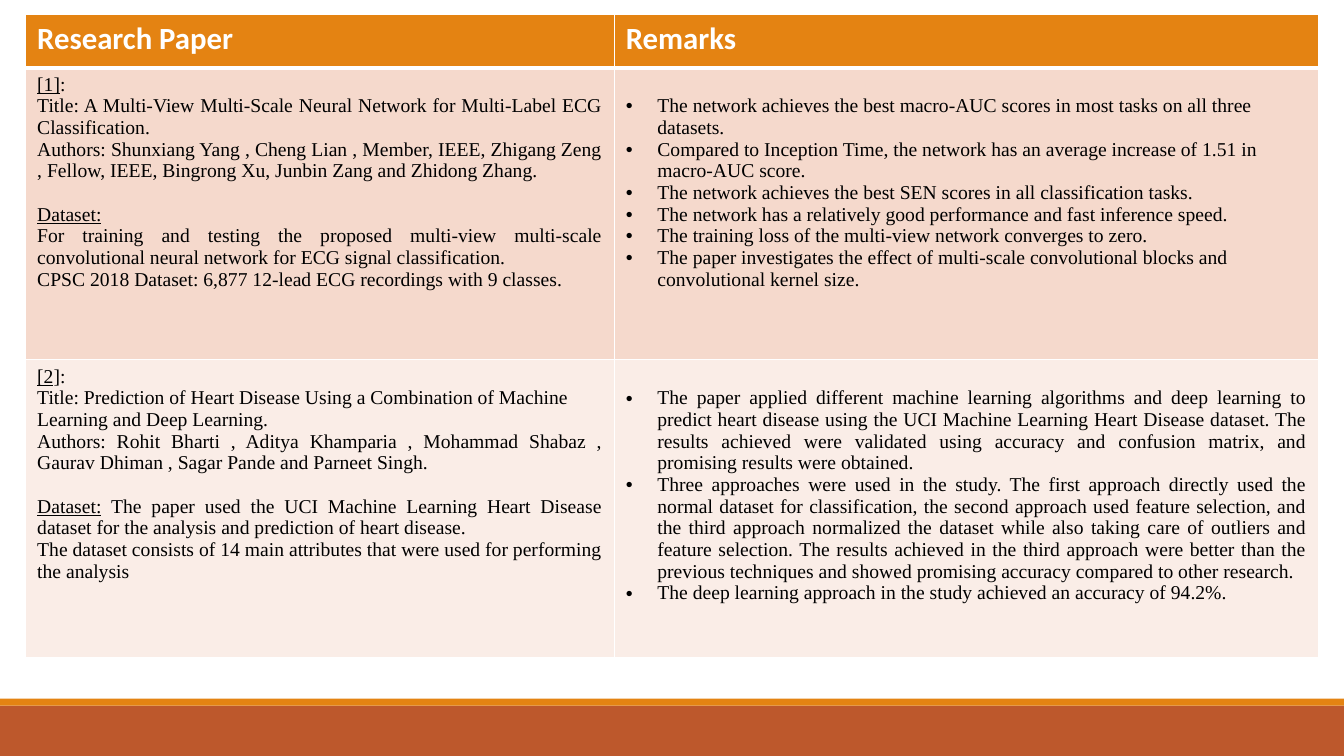
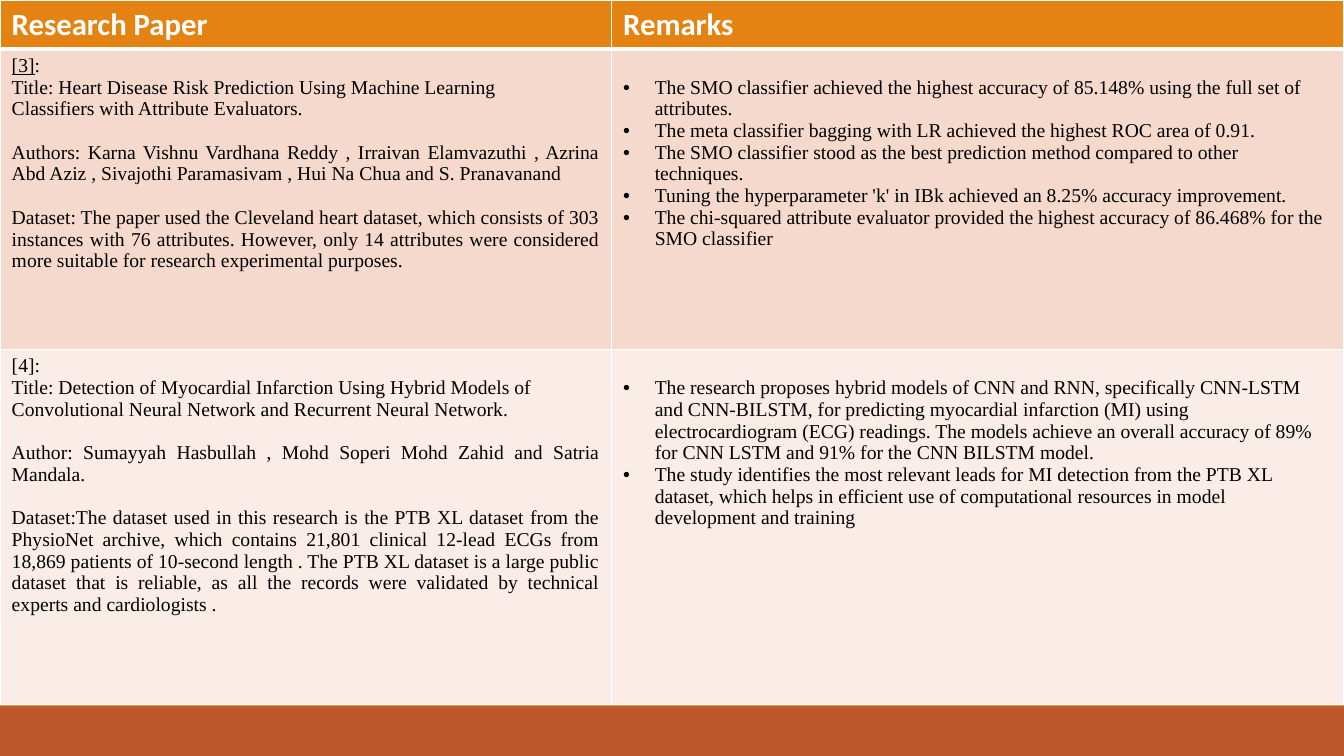
from dataclasses import dataclass
from typing import NamedTuple

from lxml.etree import SubElement
from pptx import Presentation
from pptx.dml.color import RGBColor as RGB
from pptx.enum.shapes import MSO_SHAPE as Shape
from pptx.enum.text import PP_ALIGN as Align
from pptx.oxml.ns import qn
from pptx.slide import Slide
from pptx.table import _Cell as Cell
from pptx.text.text import _Paragraph as Paragraph
from pptx.util import Pt


# Shared look
@dataclass(frozen=True)
class Theme:
    orange: str = "E48312"
    rust: str = "BD582C"
    white: str = "FFFFFF"
    black: str = "000000"
    row_fills: tuple[str, str] = ("F5D9CC", "FAEDE7")
    heading_font: str = "Calibri"
    body_font: str = "Times New Roman"
    heading_size: float = 22
    body_size: float = 14
    body_line: float = 15.5  # height of one line of body text
    margin_x: float = 8.4
    margin_y: float = 4.2
    hanging: float = 22.5
    thin: float = 1
    thick: float = 3


THEME = Theme()
SLIDE_W, SLIDE_H = 960, 540
HEADINGS = ("Research Paper", "Remarks")


class Band(NamedTuple):
    top: float
    height: float
    color: str


FOOTER = (Band(504, 36, THEME.rust), Band(499, 5, THEME.orange))


# Content types
class Line(NamedTuple):
    text: str
    underlined: str = ""  # underlined words ahead of the text
    gap: bool = False  # one line of space above


@dataclass(frozen=True)
class Review:
    paper: list[Line]
    remarks: list[str]
    justified: bool = False


@dataclass(frozen=True)
class ReviewPage:
    left: float
    top: float
    columns: tuple[float, float]
    rows: tuple[float, float, float]
    reviews: tuple[Review, Review]


PAGES = (
    ReviewPage(18.2, 10.4, (420.5, 503.2), (38, 208.7, 212.3), (
        Review(
            [
                Line(":", "[1]"),
                Line("Title: A Multi-View Multi-Scale Neural Network for Multi-Label ECG "
                     "Classification."),
                Line("Authors: Shunxiang Yang , Cheng Lian , Member, IEEE, Zhigang Zeng "
                     ", Fellow, IEEE, Bingrong Xu, Junbin Zang and Zhidong Zhang."),
                Line("", "Dataset:", gap=True),
                Line("For training and testing the proposed multi-view multi-scale "
                     "convolutional neural network for ECG signal classification."),
                Line("CPSC 2018 Dataset: 6,877 12-lead ECG recordings with 9 classes."),
            ],
            [
                "The network achieves the best macro-AUC scores in most tasks on all three "
                "datasets.",
                "Compared to Inception Time, the network has an average increase of 1.51 in "
                "macro-AUC score.",
                "The network achieves the best SEN scores in all classification tasks.",
                "The network has a relatively good performance and fast inference speed.",
                "The training loss of the multi-view network converges to zero.",
                "The paper investigates the effect of multi-scale convolutional blocks and "
                "convolutional kernel size.",
            ],
        ),
        Review(
            [
                Line("]:", "[2"),
                Line("Title: Prediction of Heart Disease Using a Combination of Machine"),
                Line("Learning and Deep Learning."),
                Line("Authors: Rohit Bharti , Aditya Khamparia , Mohammad Shabaz , "
                     "Gaurav Dhiman , Sagar Pande and Parneet Singh."),
                Line(" The paper used the UCI Machine Learning Heart Disease dataset for "
                     "the analysis and prediction of heart disease.", "Dataset:", gap=True),
                Line("The dataset consists of 14 main attributes that were used for "
                     "performing the analysis"),
            ],
            [
                "The paper applied different machine learning algorithms and deep learning "
                "to predict heart disease using the UCI Machine Learning Heart Disease "
                "dataset. The results achieved were validated using accuracy and confusion "
                "matrix, and promising results were obtained.",
                "Three approaches were used in the study. The first approach directly used "
                "the normal dataset for classification, the second approach used feature "
                "selection, and the third approach normalized the dataset while also taking "
                "care of outliers and feature selection. The results achieved in the third "
                "approach were better than the previous techniques and showed promising "
                "accuracy compared to other research.",
                "The deep learning approach in the study achieved an accuracy of 94.2%.",
            ],
            justified=True,
        ),
    )),
    ReviewPage(0, 0, (436.8, 523.2), (35.2, 214.6, 253.6), (
        Review(
            [
                Line(":", "[3]"),
                Line("Title: Heart Disease Risk Prediction Using Machine Learning"),
                Line("Classifiers with Attribute Evaluators."),
                Line("Authors: Karna Vishnu Vardhana Reddy , Irraivan Elamvazuthi , Azrina "
                     "Abd Aziz , Sivajothi Paramasivam , Hui Na Chua and S. Pranavanand",
                     gap=True),
                Line("Dataset: The paper used the Cleveland heart dataset, which consists "
                     "of 303 instances with 76 attributes. However, only 14 attributes were "
                     "considered more suitable for research experimental purposes.", gap=True),
            ],
            [
                "The SMO classifier achieved the highest accuracy of 85.148% using the full "
                "set of attributes.",
                "The meta classifier bagging with LR achieved the highest ROC area of 0.91.",
                "The SMO classifier stood as the best prediction method compared to other "
                "techniques.",
                "Tuning the hyperparameter 'k' in IBk achieved an 8.25% accuracy improvement.",
                "The chi-squared attribute evaluator provided the highest accuracy of "
                "86.468% for the SMO classifier",
            ],
        ),
        Review(
            [
                Line("[4]:"),
                Line("Title: Detection of Myocardial Infarction Using Hybrid Models of"),
                Line("Convolutional Neural Network and Recurrent Neural Network."),
                Line("Author: Sumayyah Hasbullah , Mohd Soperi Mohd Zahid and Satria "
                     "Mandala.", gap=True),
                Line("Dataset:The dataset used in this research is the PTB XL dataset from "
                     "the PhysioNet archive, which contains 21,801 clinical 12-lead ECGs "
                     "from 18,869 patients of 10-second length . The PTB XL dataset is a "
                     "large public dataset that is reliable, as all the records were "
                     "validated by technical experts and cardiologists .", gap=True),
            ],
            [
                "The research proposes hybrid models of CNN and RNN, specifically CNN-LSTM "
                "and CNN-BILSTM, for predicting myocardial infarction (MI) using "
                "electrocardiogram (ECG) readings. The models achieve an overall accuracy "
                "of 89% for CNN LSTM and 91% for the CNN BILSTM model.",
                "The study identifies the most relevant leads for MI detection from the PTB "
                "XL dataset, which helps in efficient use of computational resources in "
                "model development and training",
            ],
        ),
    )),
)


# Text
def set_font(paragraph: Paragraph, face: str, size: float, color: str, bold: bool) -> None:
    font = paragraph.font
    font.name, font.size, font.bold = face, Pt(size), bold
    font.color.rgb = RGB.from_string(color)


def set_body_font(paragraph: Paragraph) -> None:
    set_font(paragraph, THEME.body_font, THEME.body_size, THEME.black, False)


def next_paragraph(cell: Cell, index: int) -> Paragraph:
    frame = cell.text_frame
    return frame.add_paragraph() if index else frame.paragraphs[0]


def add_bullet(paragraph: Paragraph) -> None:
    props = paragraph._p.get_or_add_pPr()
    props.set("marL", str(Pt(THEME.hanging)))
    props.set("indent", str(-Pt(THEME.hanging)))
    SubElement(props, qn("a:buFont"), typeface="Arial")
    SubElement(props, qn("a:buChar"), char="•")


def write_heading(cell: Cell, heading: str) -> None:
    paragraph = next_paragraph(cell, 0)
    paragraph.add_run().text = heading
    set_font(paragraph, THEME.heading_font, THEME.heading_size, THEME.white, True)


def write_paper(cell: Cell, lines: list[Line]) -> None:
    for index, line in enumerate(lines):
        paragraph = next_paragraph(cell, index)
        paragraph.alignment = Align.JUSTIFY
        if line.gap:
            paragraph.space_before = Pt(THEME.body_line)
        set_body_font(paragraph)
        if line.underlined:
            label = paragraph.add_run()
            label.text = line.underlined
            label.font.underline = True
        if line.text:
            paragraph.add_run().text = line.text


def write_remarks(cell: Cell, review: Review) -> None:
    # Remarks start one line below the paper's number
    cell.margin_top = Pt(THEME.margin_y + THEME.body_line)
    for index, remark in enumerate(review.remarks):
        paragraph = next_paragraph(cell, index)
        paragraph.alignment = Align.JUSTIFY if review.justified else Align.LEFT
        add_bullet(paragraph)
        set_body_font(paragraph)
        paragraph.add_run().text = remark


# Table
def style_cell(cell: Cell, row: int) -> None:
    cell.margin_left = cell.margin_right = Pt(THEME.margin_x)
    cell.margin_top = cell.margin_bottom = Pt(THEME.margin_y)
    thick_side = {0: "lnB", 1: "lnT"}.get(row)
    props = cell._tc.get_or_add_tcPr()
    for side in ("lnL", "lnR", "lnT", "lnB"):
        width = THEME.thick if side == thick_side else THEME.thin
        border = SubElement(props, qn(f"a:{side}"), w=str(Pt(width)))
        SubElement(SubElement(border, qn("a:solidFill")), qn("a:srgbClr"), val=THEME.white)
    cell.fill.solid()
    cell.fill.fore_color.rgb = RGB.from_string((THEME.orange, *THEME.row_fills)[row])


def add_review_table(slide: Slide, page: ReviewPage) -> None:
    table = slide.shapes.add_table(
        len(page.rows), len(page.columns), Pt(page.left), Pt(page.top),
        Pt(sum(page.columns)), Pt(sum(page.rows))).table
    for column, width in zip(table.columns, page.columns):
        column.width = Pt(width)
    for index, height in enumerate(page.rows):
        table.rows[index].height = Pt(height)
        for cell in table.rows[index].cells:
            style_cell(cell, index)
    for column, heading in enumerate(HEADINGS):
        write_heading(table.cell(0, column), heading)
    for row, review in enumerate(page.reviews, start=1):
        write_paper(table.cell(row, 0), review.paper)
        write_remarks(table.cell(row, 1), review)


# Footer bands
def add_footer(slide: Slide) -> None:
    for band in FOOTER:
        strip = slide.shapes.add_shape(
            Shape.RECTANGLE, 0, Pt(band.top), Pt(SLIDE_W), Pt(band.height))
        strip.shadow.inherit = False
        strip.fill.solid()
        strip.fill.fore_color.rgb = RGB.from_string(band.color)
        strip.line.fill.background()


def main() -> None:
    deck = Presentation()
    deck.slide_width, deck.slide_height = Pt(SLIDE_W), Pt(SLIDE_H)
    blank = deck.slide_layouts[6]
    for page in PAGES:
        slide = deck.slides.add_slide(blank)
        add_footer(slide)
        add_review_table(slide, page)
    deck.save("out.pptx")


if __name__ == "__main__":
    main()
